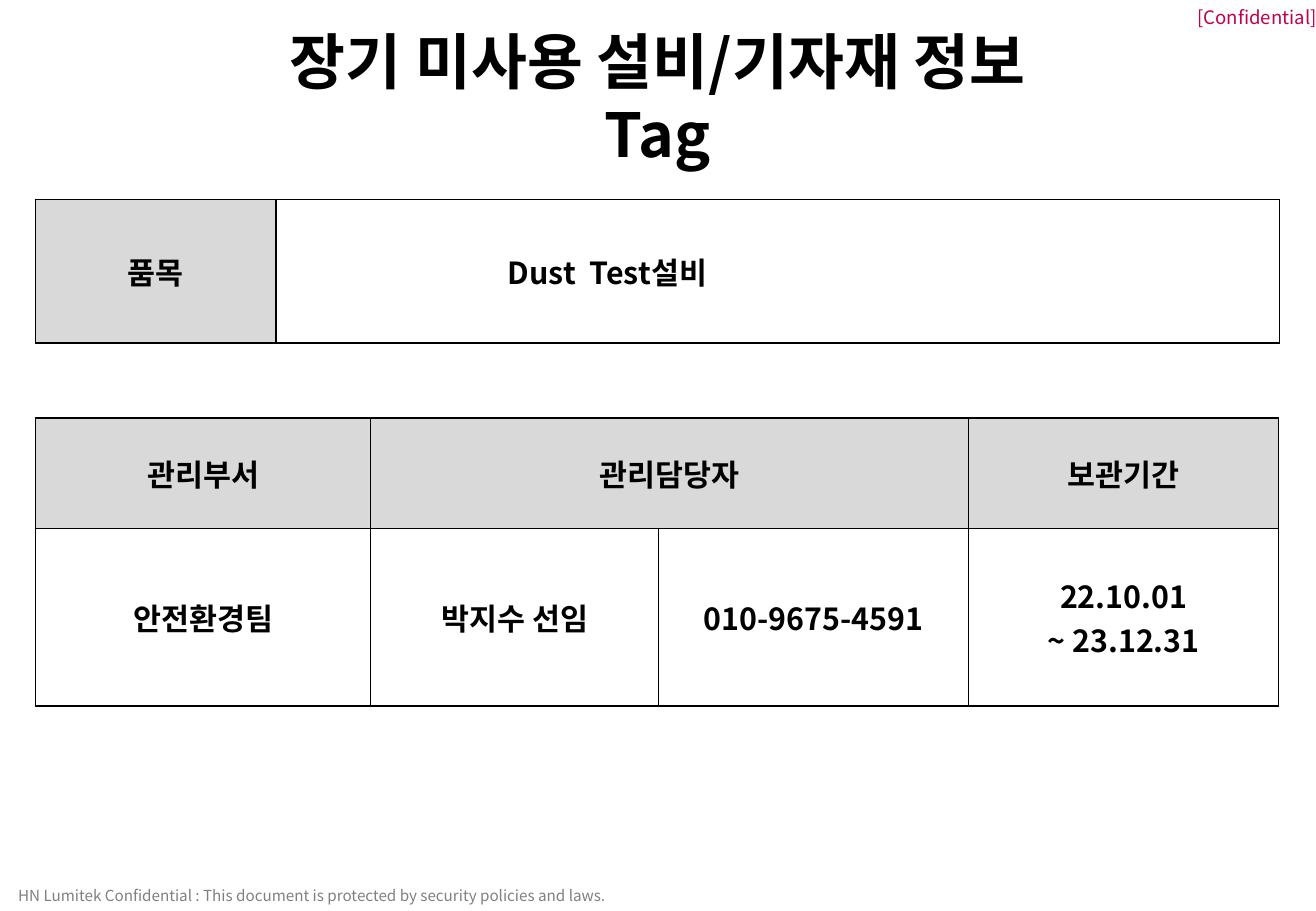
import pptx
import pptx.dml.color
import pptx.enum.text
import pptx.oxml
import pptx.oxml.ns
import pptx.util
from pptx.util import Cm

FONT = "Noto Sans CJK KR"
COLORS = {
    "ink": "000000",
    "header": "D9D9D9",
    "footer": "808080",
    "label": "C0004B",
}
ALIGN = pptx.enum.text.PP_ALIGN
MIDDLE = pptx.enum.text.MSO_ANCHOR.MIDDLE


def color(name):
    return pptx.dml.color.RGBColor.from_string(COLORS[name])


def write_lines(frame, lines, size, ink, bold, align):
    for index, line in enumerate(lines):
        para = frame.paragraphs[0] if index == 0 else frame.add_paragraph()
        para.alignment = align
        span = para.add_run()
        span.text = line
        span.font.size = pptx.util.Pt(size)
        span.font.bold = bold
        span.font.color.rgb = color(ink)
        span.font.name = FONT
        # Hangul uses the East Asian font slot
        east_asian = pptx.oxml.parse_xml(
            f'<a:ea {pptx.oxml.ns.nsdecls("a")} typeface="{FONT}"/>')
        span.font._element.append(east_asian)


def add_text(page, place, line, size, ink, bold=False, align=ALIGN.LEFT):
    box = page.shapes.add_textbox(*(Cm(length) for length in place))
    frame = box.text_frame
    frame.word_wrap = True
    frame.vertical_anchor = MIDDLE
    frame.margin_left = frame.margin_right = 0
    frame.margin_top = frame.margin_bottom = 0
    write_lines(frame, [line], size, ink, bold, align)


def add_borders(cell):
    properties = cell._tc.get_or_add_tcPr()
    for position, side in enumerate("LRTB"):
        border = pptx.oxml.parse_xml(
            f'<a:ln{side} {pptx.oxml.ns.nsdecls("a")} w="12700"><a:solidFill>'
            f'<a:srgbClr val="{COLORS["ink"]}"/></a:solidFill></a:ln{side}>')
        properties.insert(position, border)


def fill_cell(cell, lines, header):
    cell.margin_left = cell.margin_right = Cm(0.1)
    cell.margin_top = cell.margin_bottom = Cm(0.1)
    cell.vertical_anchor = MIDDLE
    if header:
        cell.fill.solid()
        cell.fill.fore_color.rgb = color("header")
    else:
        cell.fill.background()
    add_borders(cell)
    if lines:
        write_lines(cell.text_frame, lines, 18, "ink", True, ALIGN.CENTER)


def add_grid(page, top, widths, heights, rows, is_header):
    grid = page.shapes.add_table(
        len(heights), len(widths), Cm(0.74), Cm(top),
        Cm(sum(widths)), Cm(sum(heights))).table
    grid.first_row = grid.horz_banding = False
    for column, width in zip(grid.columns, widths):
        column.width = Cm(width)
    for row, height in zip(grid.rows, heights):
        row.height = Cm(height)
    for row_index, row in enumerate(rows):
        for column_index, lines in enumerate(row):
            fill_cell(grid.cell(row_index, column_index), lines,
                      is_header(row_index, column_index))
    return grid


def main():
    deck = pptx.Presentation()
    deck.slide_width, deck.slide_height = Cm(27.51), Cm(19.05)
    page = deck.slides.add_slide(deck.slide_layouts[6])

    # Confidentiality marks
    add_text(page, (0, 18.42, 12.88, 0.63),
             "HN Lumitek Confidential : This document is protected by "
             "security policies and laws.", 9, "footer")
    add_text(page, (24.18, 0, 3.35, 0.71), "[Confidential]", 11, "label",
             align=ALIGN.RIGHT)
    # Left inset of the footer line
    page.shapes[0].left = Cm(0.38)

    # Title
    add_text(page, (5.05, 1.12, 17.4, 1.8), "장기 미사용 설비/기자재 정보 Tag",
             36, "ink", True, ALIGN.CENTER)

    # Management table
    management = add_grid(
        page, 8.74, [7.01, 6.02, 6.48, 6.48], [2.31, 3.71],
        [[["관리부서"], ["관리담당자"], [], ["보관기간"]],
         [["안전환경팀"], ["박지수 선임"], ["010-9675-4591"],
          ["22.10.01", "~ 23.12.31"]]],
        lambda row, column: row == 0)
    management.cell(0, 1).merge(management.cell(0, 2))

    # Item table, with the item name indented from the left
    item = add_grid(page, 4.17, [5.03, 20.98], [3],
                    [[["품목"], ["Dust  Test설비"]]],
                    lambda row, column: column == 0)
    name_cell = item.cell(0, 1)
    name_cell.margin_left = Cm(4.85)
    name_cell.text_frame.paragraphs[0].alignment = ALIGN.LEFT

    deck.save("out.pptx")


if __name__ == "__main__":
    main()
